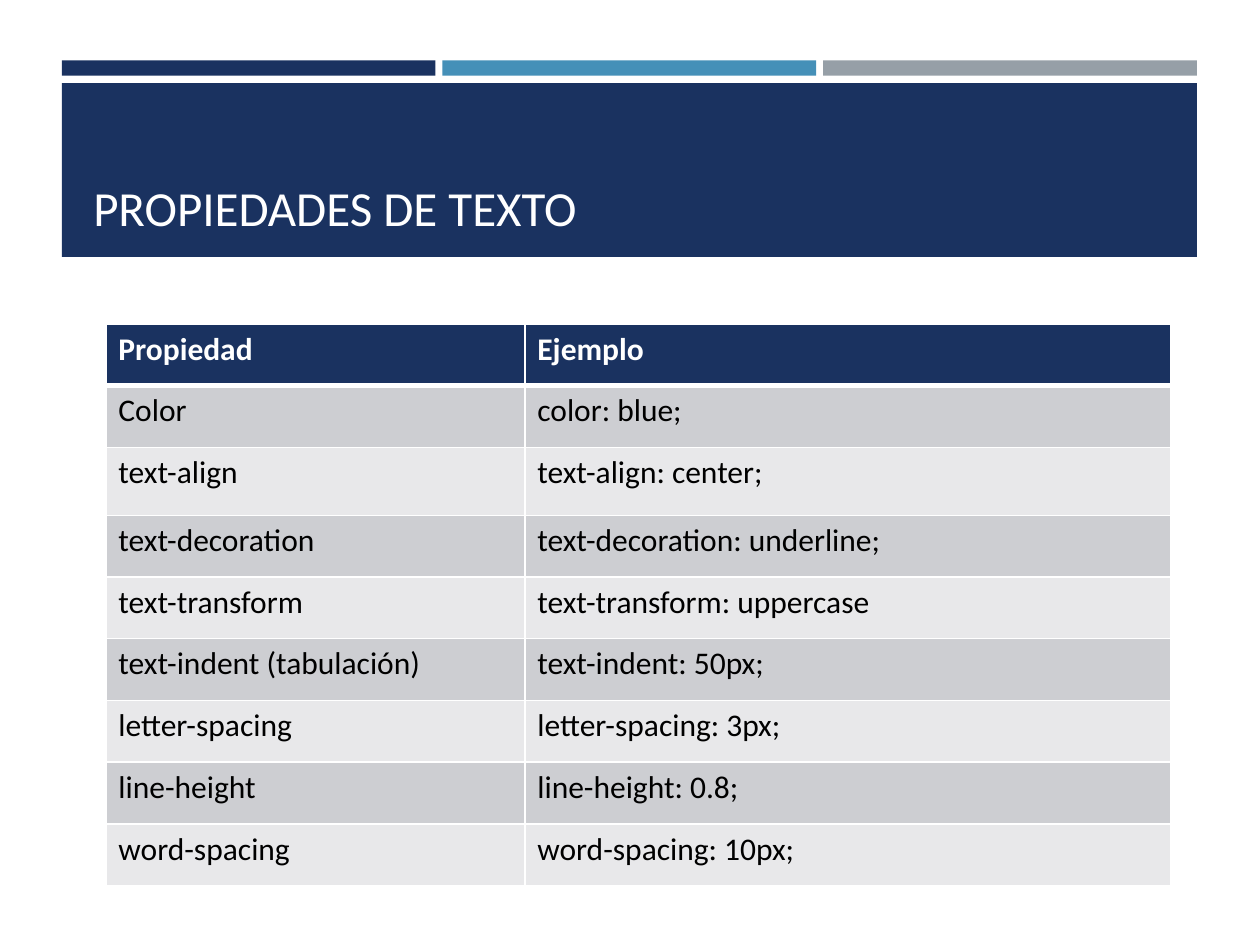
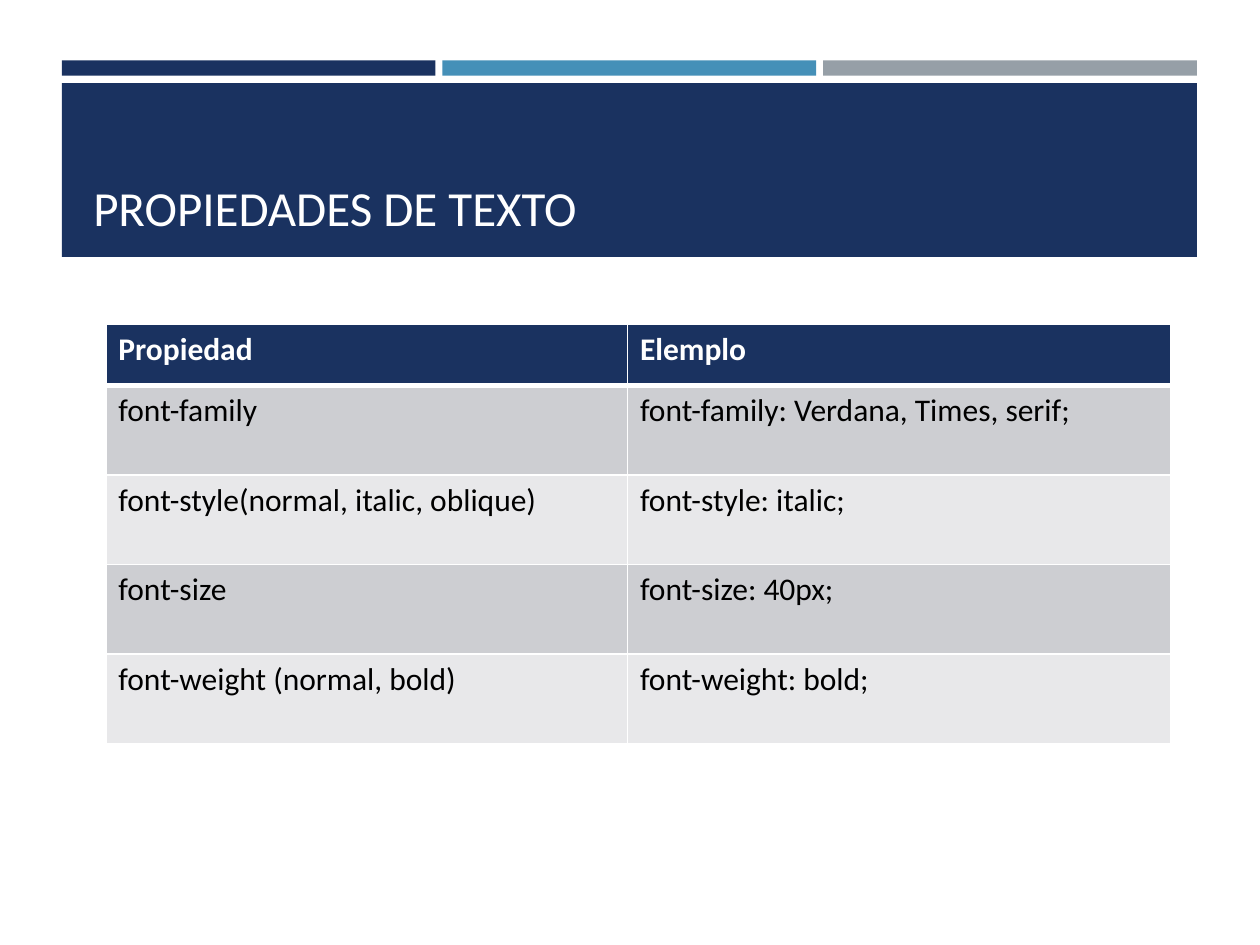
import pptx
import pptx.util
import pptx.dml.color
import pptx.enum.shapes
import pptx.enum.text
import pptx.oxml
import pptx.oxml.ns

HUES = {
    "navy": "1A3260", "blue": "4590B8", "gray": "969FA7",
    "dark": "CDCED2", "pale": "E8E8EA", "white": "FFFFFF", "black": "000000",
}
FONT = "Calibri"
COLS, ROWS = 100, 75            # grid cells across and down the slide
LEFT, WIDE = 4.9, 90.1          # span shared by the bars and the band
GAP = 0.55                      # space between neighbouring bars
HEAD = 4.9                      # height of a table's header row


class Deck:
    def __init__(self, wide, high):
        self.prs = pptx.Presentation()
        self.prs.slide_width = pptx.util.Inches(wide)
        self.prs.slide_height = pptx.util.Inches(high)
        self.slide = None

    def x(self, cols):
        return round(self.prs.slide_width * cols / COLS)

    def y(self, rows):
        return round(self.prs.slide_height * rows / ROWS)

    def box(self, left, top, wide, high):
        return self.x(left), self.y(top), self.x(wide), self.y(high)

    def hue(self, name):
        return pptx.dml.color.RGBColor.from_string(HUES[name])

    def paint(self, item, name):
        item.fill.solid()
        item.fill.fore_color.rgb = self.hue(name)

    def label(self, frame, text, size, name, bold=False):
        frame.text = text
        para = frame.paragraphs[0]
        para.alignment = pptx.enum.text.PP_ALIGN.LEFT
        font = para.font
        font.name, font.size, font.bold = FONT, pptx.util.Pt(size), bold
        font.color.rgb = self.hue(name)

    def rect(self, left, top, wide, high, name):
        kind = pptx.enum.shapes.MSO_SHAPE.RECTANGLE
        shape = self.slide.shapes.add_shape(kind, *self.box(left, top, wide, high))
        shape.shadow.inherit = False
        shape.line.fill.background()
        self.paint(shape, name)

    def title(self, text):
        title = self.slide.shapes.title
        title.left, title.top, title.width, title.height = self.box(6.4, 7.5, 87.4, 11.8)
        frame = title.text_frame
        frame.word_wrap = True
        frame.auto_size = pptx.enum.text.MSO_AUTO_SIZE.NONE
        frame.vertical_anchor = pptx.enum.text.MSO_ANCHOR.BOTTOM
        self.label(frame, text, 28, "white")
        # Bring the title in front of the band
        self.slide.shapes.element.append(title.element)

    def page(self, text):
        self.slide = self.prs.slides.add_slide(self.prs.slide_layouts[5])
        # Three bars over one wide band
        hues = ("navy", "blue", "gray")
        bar = (WIDE - GAP * (len(hues) - 1)) / len(hues)
        for i, name in enumerate(hues):
            self.rect(LEFT + i * (bar + GAP), 4.8, bar, 1.2, name)
        self.rect(LEFT, 6.6, WIDE, 13.8, "navy")
        self.title(text)

    def edge(self, cell, side, points):
        space = pptx.oxml.ns.nsdecls("a")
        line = pptx.oxml.parse_xml(
            f'<a:ln{side} {space} w="{pptx.util.Pt(points)}"><a:solidFill>'
            f'<a:srgbClr val="{HUES["white"]}"/></a:solidFill></a:ln{side}>')
        cell._tc.get_or_add_tcPr().append(line)

    def table(self, rows, wides, highs):
        area = self.box(8.4, 25.7, sum(wides), sum(highs))
        grid = self.slide.shapes.add_table(len(rows), len(wides), *area).table
        for col, wide in zip(grid.columns, wides):
            col.width = self.x(wide)
        for i, (texts, high) in enumerate(zip(rows, highs)):
            grid.rows[i].height = self.y(high)
            head = i == 0
            fill = "navy" if head else ("pale", "dark")[i % 2]
            for j, text in enumerate(texts):
                cell = grid.cell(i, j)
                self.label(cell.text_frame, text, 18, "white" if head else "black", head)
                # Borders come before the fill; a thick rule lies under the header
                for side in "LRTB":
                    thick = (i, side) in ((0, "B"), (1, "T"))
                    self.edge(cell, side, 3 if thick else 1)
                self.paint(cell, fill)


TEXT = [
    ("Propiedad", "Ejemplo"),
    ("Color", "color: blue;"),
    ("text-align", "text-align: center;"),
    ("text-decoration", "text-decoration: underline;"),
    ("text-transform", "text-transform: uppercase"),
    ("text-indent (tabulación)", "text-indent: 50px;"),
    ("letter-spacing", "letter-spacing: 3px;"),
    ("line-height", "line-height: 0.8;"),
    ("word-spacing", "word-spacing: 10px;"),
]
FACE = [
    ("Propiedad", "Elemplo"),
    ("font-family", "font-family: Verdana, Times, serif;"),
    ("font-style(normal, italic, oblique)", "font-style: italic;"),
    ("font-size", "font-size: 40px;"),
    ("font-weight (normal, bold)", "font-weight: bold;"),
]


def main():
    deck = Deck(10, 7.5)

    # Text properties
    deck.page("PROPIEDADES DE TEXTO")
    deck.table(TEXT, (33.25, 51.3), [HEAD] * 2 + [5.4] + [HEAD] * 6)

    # Font properties
    deck.page("PROPIEDADES DE TEXTO")
    deck.table(FACE, (41.4, 43.15), [HEAD] + [7.1] * 4)

    deck.prs.save("out.pptx")


if __name__ == "__main__":
    main()
